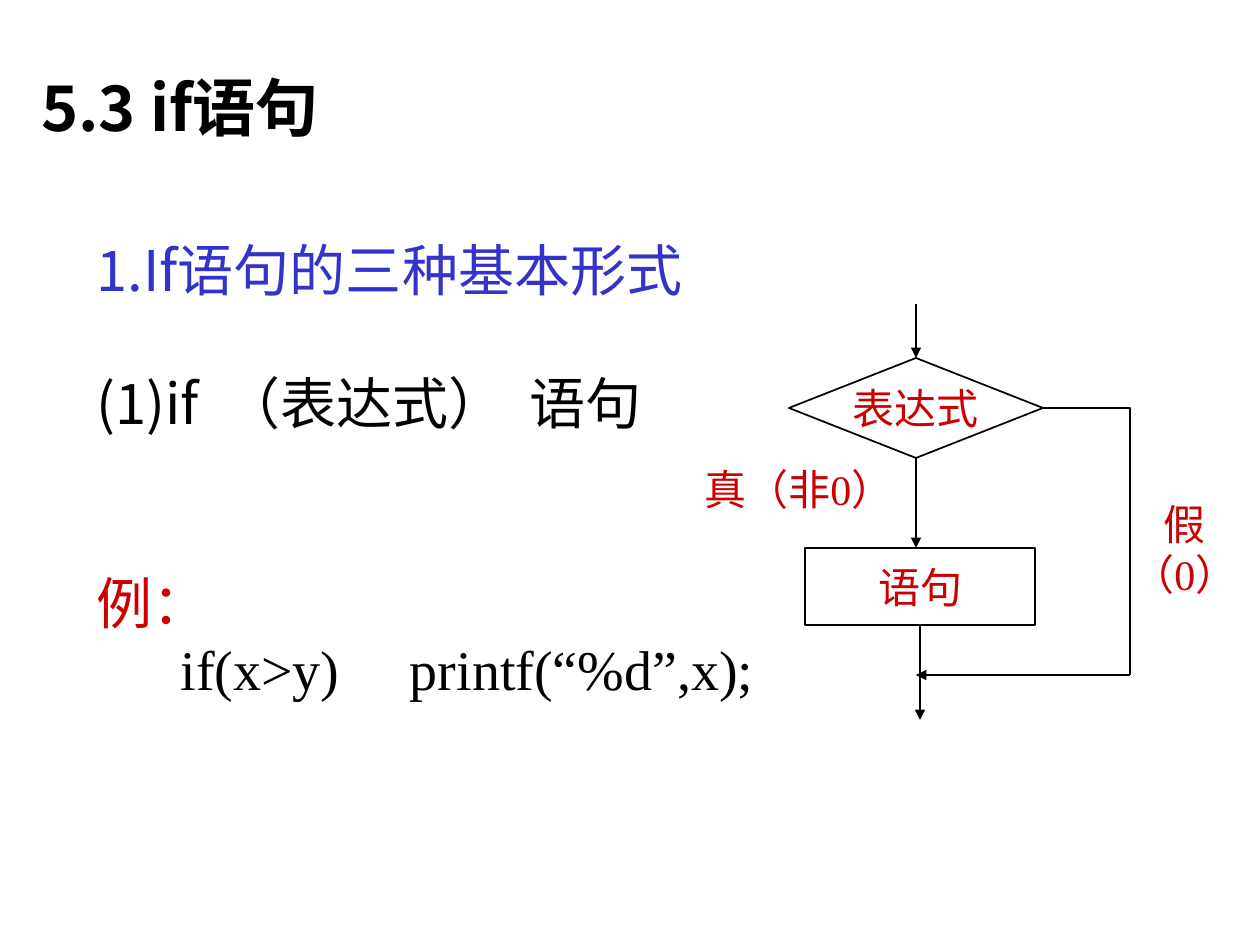
"""Build a slide on the basic form of the if statement with its flowchart."""
from lxml import etree
from pptx import Presentation, util as u
from pptx.dml.color import RGBColor
from pptx.enum import shapes, text
from pptx.oxml.ns import qn

BLACK = RGBColor(0, 0, 0)
WHITE = RGBColor(255, 255, 255)
BLUE = RGBColor(0x33, 0x33, 0xCC)
RED = RGBColor(0xCC, 0, 0)
SANS, SERIF = "Noto Sans CJK SC", "Times New Roman"

HEADING = "5.3 if语句"
LINE_PITCH = 38
TOPICS = [
    # phrases, font, colour, empty lines before, indent in px, extra gap in pt
    (["1.If语句的三种基本形式"], SANS, BLUE, 0, 0, 0),
    (["(1)if", "（表达式）", "语句"], SANS, BLACK, 1, 0, 7),
    (["例："], SERIF, RED, 2, 0, 0),
    (["if(x>y)", "printf(“%d”,x);"], SERIF, BLACK, 0, 84, 32),
]
STEPS = [
    ("表达式", shapes.MSO_SHAPE.FLOWCHART_DECISION, (789, 358, 254, 100)),
    ("语句", shapes.MSO_SHAPE.FLOWCHART_PROCESS, (805, 548, 230, 77)),
]
BRANCH_LABELS = [
    (["真（非0）"], (685, 457, 228, 63)),
    (["假", "（0）"], (1117, 449, 136, 199)),
]
ARROWS = [
    ((916, 304), (916, 358)),
    ((916, 458), (916, 548)),
    ((920, 625), (920, 720)),
    ((1130, 675), (916, 675)),
]
FALSE_BRANCH = ((1043, 408), (1130, 675))


def px(*lengths):
    return [u.Emu(round(length * 914400 / 126)) for length in lengths]


def apply(target, values):
    for name, value in values.items():
        setattr(target, name, value)


def place(part, box):
    apply(part, dict(zip(("left", "top", "width", "height"), px(*box))))


def write(paragraph, wording, size, font, colour, bold=False):
    run = paragraph.add_run()
    run.text = wording
    apply(run.font, {"size": u.Pt(size), "name": font, "bold": bold})
    run.font.color.rgb = colour
    east_asian = etree.SubElement(run.font._element, qn("a:ea"))
    east_asian.set("typeface", SANS)
    return run


def remove_bullet(paragraph, indent):
    properties = paragraph._p.get_or_add_pPr()
    properties.attrib.update({"marL": str(int(px(indent)[0])), "indent": "0"})
    etree.SubElement(properties, qn("a:buNone"))


def write_label(part, lines):
    frame = part.text_frame
    apply(frame, {"word_wrap": False, "vertical_anchor": text.MSO_ANCHOR.MIDDLE,
                  "margin_left": 0, "margin_right": 0})
    for index, wording in enumerate(lines):
        paragraph = frame.add_paragraph() if index else frame.paragraphs[0]
        paragraph.alignment = text.PP_ALIGN.CENTER
        write(paragraph, wording, 24, SERIF, RED)


def connect(slide, kind, start, end, arrow):
    link = slide.shapes.add_connector(kind, *px(*start, *end))
    link.line.color.rgb = BLACK
    link.line.width = u.Pt(1)
    if arrow:
        etree.SubElement(link.line._get_or_add_ln(), qn("a:tailEnd"), type="triangle")
    etree.SubElement(link._element.spPr, qn("a:effectLst"))
    return link


def add_heading(slide):
    heading = slide.shapes.title
    place(heading, (0, 63, 1260, 157))
    heading.fill.solid()
    heading.fill.fore_color.rgb = WHITE
    frame = heading.text_frame
    apply(frame, {"vertical_anchor": text.MSO_ANCHOR.TOP, "margin_left": px(41)[0],
                  "auto_size": text.MSO_AUTO_SIZE.NONE})
    paragraph = frame.paragraphs[0]
    apply(paragraph, {"alignment": text.PP_ALIGN.LEFT, "line_spacing": u.Pt(43),
                      "space_before": u.Pt(0)})
    write(paragraph, HEADING, 36, SANS, BLACK, bold=True)


def add_topics(slide):
    body = slide.placeholders[1]
    place(body, (84, 230, 1057, 535))
    frame = body.text_frame
    apply(frame, {"vertical_anchor": text.MSO_ANCHOR.TOP, "word_wrap": True,
                  "auto_size": text.MSO_AUTO_SIZE.NONE})
    for index, (phrases, font, colour, skip, indent, gap) in enumerate(TOPICS):
        paragraph = frame.add_paragraph() if index else frame.paragraphs[0]
        apply(paragraph, {"alignment": text.PP_ALIGN.LEFT,
                          "line_spacing": u.Pt(LINE_PITCH),
                          "space_before": u.Pt(skip * LINE_PITCH)})
        remove_bullet(paragraph, indent)
        for position, phrase in enumerate(phrases):
            if position:
                space = write(paragraph, " ", 32, font, colour)
                space.font._element.set("spc", str(gap * 100))
            write(paragraph, phrase, 32, font, colour)


def add_flowchart(slide):
    for wording, outline, box in STEPS:
        step = slide.shapes.add_shape(outline, *px(*box))
        step.shadow.inherit = False
        step.fill.solid()
        step.fill.fore_color.rgb = WHITE
        step.line.color.rgb = BLACK
        step.line.width = u.Pt(1)
        write_label(step, [wording])
    for start, end in ARROWS:
        connect(slide, shapes.MSO_CONNECTOR.STRAIGHT, start, end, True)
    branch = connect(slide, shapes.MSO_CONNECTOR.ELBOW, *FALSE_BRANCH, False)
    branch._element.spPr.find(qn("a:prstGeom")).set("prst", "bentConnector2")
    for lines, box in BRANCH_LABELS:
        write_label(slide.shapes.add_textbox(*px(*box)), lines)


def main():
    deck = Presentation()
    apply(deck, {"slide_width": u.Inches(10), "slide_height": u.Inches(7.5)})
    slide = deck.slides.add_slide(deck.slide_layouts[1])
    add_heading(slide)
    add_topics(slide)
    add_flowchart(slide)
    deck.save("out.pptx")


if __name__ == "__main__":
    main()
